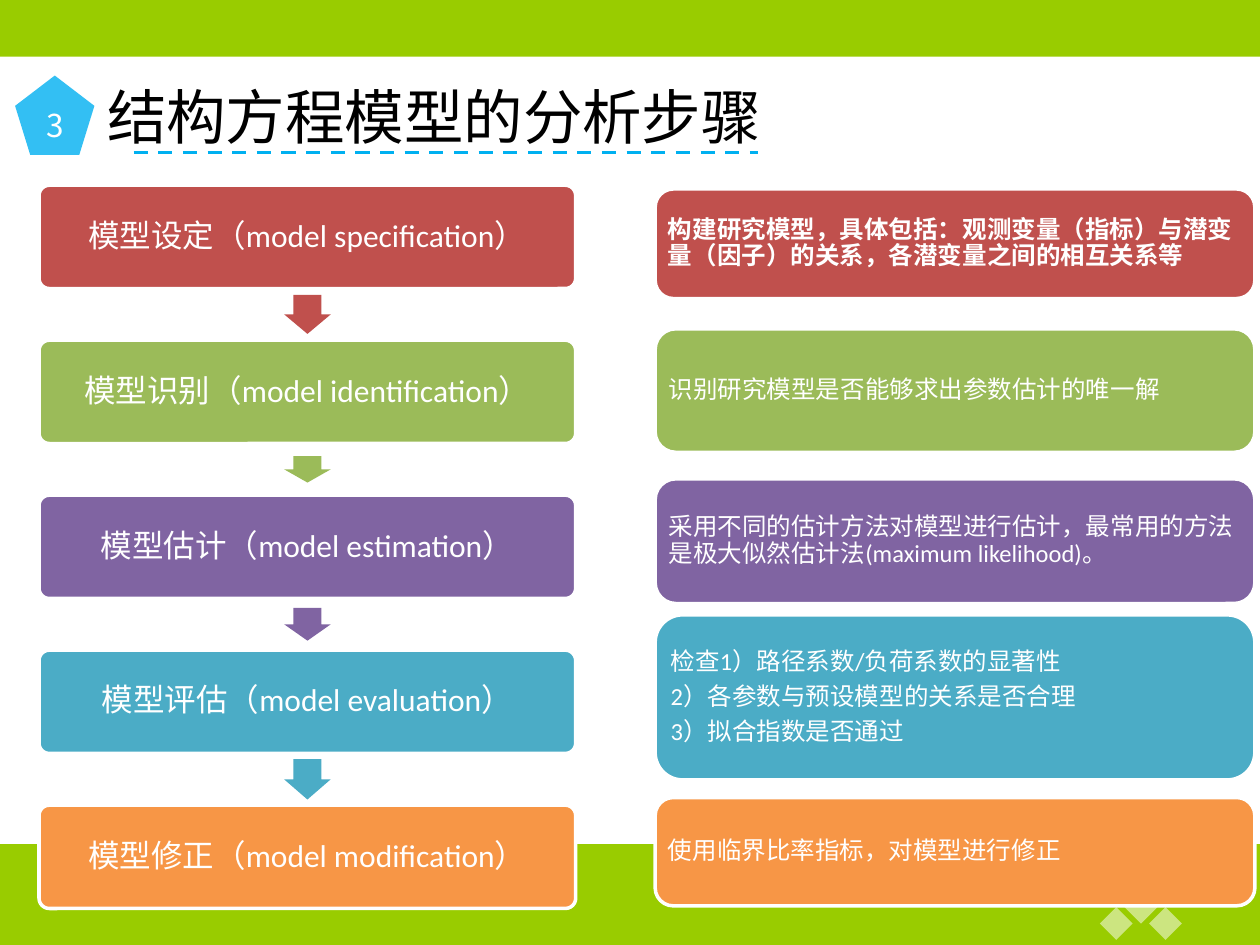
from dataclasses import dataclass

from lxml import etree
from pptx import Presentation
from pptx import util as u
from pptx.dml import color
from pptx.enum import dml, shapes, text
from pptx.oxml import ns


@dataclass(frozen=True)
class Theme:
    band: str = "99CC00"
    accent: str = "00B0F0"
    white: str = "FFFFFF"
    black: str = "000000"
    steps: tuple = ("C0504D", "9BBB59", "8064A2", "4BACC6", "F79646")
    title_size: int = 34
    step_size: int = 18
    note_size: int = 14


theme = Theme()
Kind = shapes.MSO_SHAPE
Align = text.PP_ALIGN


def add_filled(kind, left, top, width, height, fill, opacity=100, outlined=False):
    shape = slide.shapes.add_shape(
        kind, u.Inches(left), u.Inches(top), u.Inches(width), u.Inches(height))
    shape.shadow.inherit = False
    shape.fill.solid()
    shape.fill.fore_color.rgb = color.RGBColor.from_string(fill)
    if opacity < 100:
        fill_color = shape.fill._xPr.find(".//" + ns.qn("a:srgbClr"))
        etree.SubElement(fill_color, ns.qn("a:alpha"), val=str(opacity * 1000))
    if outlined:
        shape.line.color.rgb = color.RGBColor.from_string(theme.white)
        shape.line.width = u.Pt(2)
    else:
        shape.line.fill.background()
    return shape


def write(shape, lines, size, font, fill, align, inset=None, bold=False, spacing=None, after=0):
    frame = shape.text_frame
    frame.word_wrap = True
    frame.vertical_anchor = text.MSO_ANCHOR.MIDDLE
    if inset is not None:
        frame.margin_left = frame.margin_right = u.Inches(inset)
        frame.margin_top = frame.margin_bottom = u.Inches(inset)
    for index, line in enumerate(lines):
        para = frame.add_paragraph() if index else frame.paragraphs[0]
        para.alignment = align
        para.line_spacing = spacing
        para.space_after = u.Pt(after)
        span = para.add_run()
        span.text = line
        span.font.size = u.Pt(size)
        span.font.name = font
        span.font.bold = bold
        span.font.color.rgb = color.RGBColor.from_string(fill)


deck = Presentation()
deck.slide_width, deck.slide_height = u.Inches(10), u.Inches(7.5)
slide = deck.slides.add_slide(deck.slide_layouts[5])

# Background bands and diamonds
add_filled(Kind.RECTANGLE, 0, -0.02, 10, 0.47, theme.band)
add_filled(Kind.RECTANGLE, 0, 6.7, 10, 0.8, theme.band)
for left, top, size in ((8.86, 6.94, 0.39), (8.73, 7.2, 0.26), (9.12, 7.2, 0.26)):
    add_filled(Kind.DIAMOND, left, top, size, size, theme.white, opacity=50)

# Title
title = slide.shapes.title
title.left, title.top = u.Inches(0.75), u.Inches(0.41)
title.width, title.height = u.Inches(9), u.Inches(1.01)
write(title, ["结构方程模型的分析步骤"], theme.title_size, "Arial", theme.black, Align.LEFT)

# Steps on the left, each with an arrow to the next
step_left, step_top, step_width, step_height, pitch = 0.31, 1.47, 4.26, 0.82, 1.23
arrow_breadth = 0.37
steps = (
    ("模型设定（model specification）", 0.31),
    ("模型识别（model identification）", 0.21),
    ("模型估计（model estimation）", 0.26),
    ("模型评估（model evaluation）", 0.32),
    ("模型修正（model modification）", None),
)
for index, ((label, arrow_length), fill) in enumerate(zip(steps, theme.steps)):
    top = step_top + index * pitch
    box = add_filled(Kind.ROUNDED_RECTANGLE, step_left, top, step_width, step_height,
                     fill, outlined=True)
    box.adjustments[0] = 0.1
    write(box, [label], theme.step_size, "Calibri", theme.white, Align.CENTER,
          inset=0.07, spacing=0.9)
    if arrow_length:
        center_x = step_left + step_width / 2
        center_y = top + (step_height + pitch) / 2
        arrow = add_filled(Kind.RIGHT_ARROW, center_x - arrow_length / 2,
                           center_y - arrow_breadth / 2, arrow_length, arrow_breadth, fill)
        arrow.rotation = 90
        arrow.adjustments[0] = 0.6

# Explanations on the right
notes = (
    (1.5, 0.87, ["构建研究模型，具体包括：观测变量（指标）与潜变量（因子）的关系，各潜变量之间的相互关系等"]),
    (2.61, 0.98, ["识别研究模型是否能够求出参数估计的唯一解"]),
    (3.8, 0.99, ["采用不同的估计方法对模型进行估计，最常用的方法是极大似然估计法(maximum likelihood)。"]),
    (4.88, 1.31, ["检查1）路径系数/负荷系数的显著性",
                  "2）各参数与预设模型的关系是否合理",
                  "3）拟合指数是否通过"]),
    (6.33, 0.86, ["使用临界比率指标，对模型进行修正"]),
)
for index, ((top, height, lines), fill) in enumerate(zip(notes, theme.steps)):
    first = index == 0
    box = add_filled(Kind.ROUNDED_RECTANGLE, 5.2, top, 4.76, height, fill, outlined=True)
    write(box, lines, theme.note_size, "Times New Roman" if first else "Calibri",
          theme.white, Align.LEFT, inset=0.06, bold=first, spacing=0.9, after=5)

# Section number
badge = add_filled(Kind.REGULAR_PENTAGON, 0.12, 0.6, 0.63, 0.63, theme.accent, opacity=80)
write(badge, ["3"], theme.step_size, "Noto Sans CJK SC", theme.white, Align.CENTER)
badge.text_frame.word_wrap = False

# Dashed rule under the title
rule = slide.shapes.add_connector(shapes.MSO_CONNECTOR.STRAIGHT, u.Inches(1.06), u.Inches(1.21),
                                  u.Inches(6.02), u.Inches(1.21))
rule.line.color.rgb = color.RGBColor.from_string(theme.accent)
rule.line.width = u.Pt(2)
rule.line.dash_style = dml.MSO_LINE.DASH
etree.SubElement(rule._element.spPr, ns.qn("a:effectLst"))

deck.save("out.pptx")
